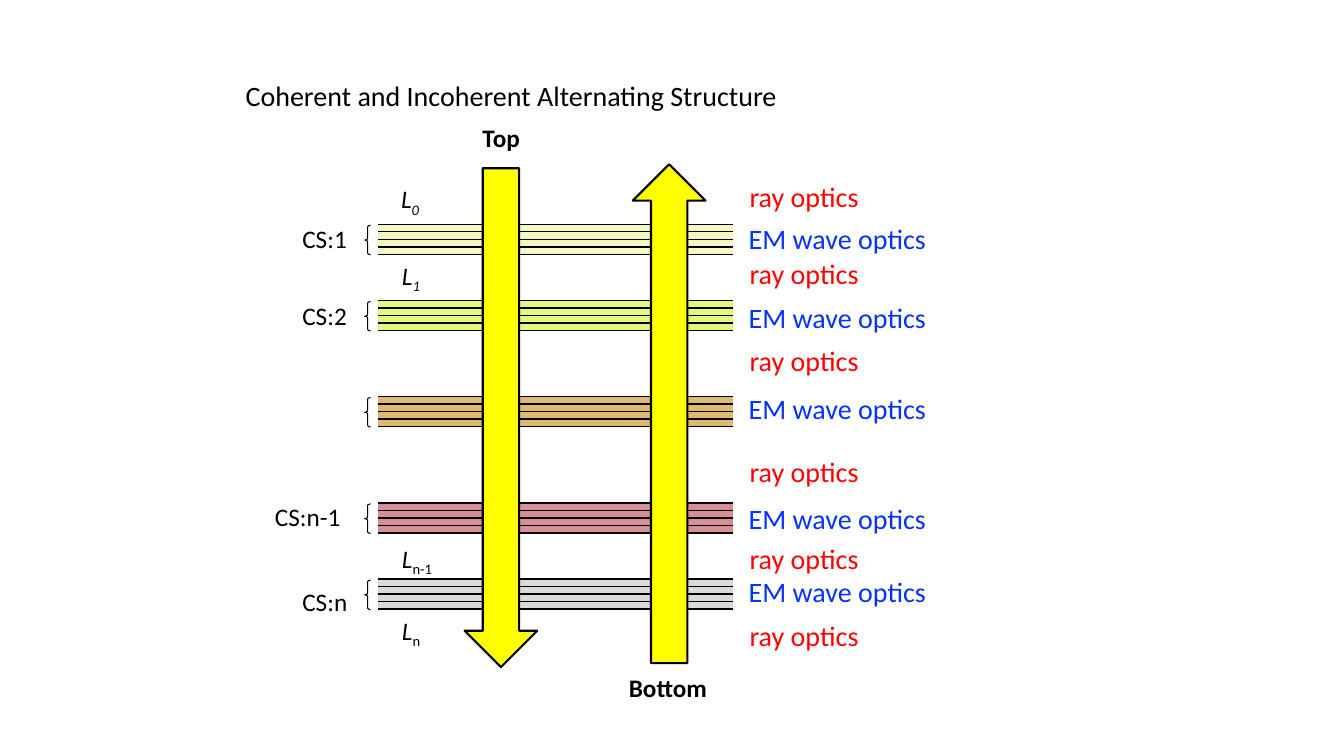
"""Draw light passing through alternating coherent and incoherent layers."""
from lxml import etree
from pptx import Presentation
from pptx.dml.color import RGBColor
from pptx.enum.shapes import MSO_CONNECTOR, MSO_SHAPE
from pptx.enum.text import MSO_AUTO_SIZE
from pptx.oxml.ns import qn
from pptx.util import Cm, Pt

RECT = MSO_SHAPE.RECTANGLE
BRACE = MSO_SHAPE.LEFT_BRACE
DOWN = MSO_SHAPE.DOWN_ARROW
UP = MSO_SHAPE.UP_ARROW
STRAIGHT = MSO_CONNECTOR.STRAIGHT
FIT = MSO_AUTO_SIZE.SHAPE_TO_FIT_TEXT

BLACK = RGBColor(0x00, 0x00, 0x00)
BLUE = RGBColor(0x04, 0x32, 0xFF)
RED = RGBColor(0xFF, 0x00, 0x00)
YELLOW = RGBColor(0xFF, 0xFF, 0x00)
CREAM = RGBColor(0xF4, 0xF7, 0xBE)
LIME = RGBColor(0xE5, 0xF7, 0x7D)
TAN = RGBColor(0xDE, 0xBA, 0x6F)
ROSE = RGBColor(0xD5, 0x8F, 0x96)
GRAY = RGBColor(0xD9, 0xD9, 0xD9)

LEFT, WIDTH, STEP, GAPS = 9.53, 8.94, 0.19, 4
STACKS = [(5.65, CREAM), (7.57, LIME), (9.99, TAN), (12.67, ROSE), (14.59, GRAY)]
NAMES = [("CS:1", 7.37, 5.51, 1.65), ("CS:2", 7.37, 7.44, 1.65),
         ("CS:n", 7.37, 14.66, 1.65), ("CS:n-1", 6.68, 12.52, 2.18)]
LAYERS = [("0", 9.86, 4.5, 0.99, True), ("1", 9.88, 6.43, 0.99, True),
          ("n-1", 9.88, 13.56, 1.35, False), ("n", 9.88, 15.37, 1.02, False)]
WAVES = [5.46, 7.44, 9.75, 12.5, 14.35]
RAYS = [4.39, 6.35, 8.53, 11.33, 13.51, 15.47]


class Board:
    def __init__(self, slide, font="Calibri"):
        self.shapes = slide.shapes
        self.font = font

    def shape(self, kind, x, y, w, h, fill=None, line=None):
        item = self.shapes.add_shape(kind, Cm(x), Cm(y), Cm(w), Cm(h))
        item.shadow.inherit = False
        if fill is None:
            item.fill.background()
        else:
            item.fill.solid()
            item.fill.fore_color.rgb = fill
        if line is None:
            item.line.fill.background()
        else:
            item.line.color.rgb = BLACK
            item.line.width = Pt(line)
        return item

    def line(self, x, y, w):
        item = self.shapes.add_connector(STRAIGHT, Cm(x), Cm(y), Cm(x + w), Cm(y))
        item.line.color.rgb = BLACK
        item.line.width = Pt(1)
        etree.SubElement(item._element.spPr, qn("a:effectLst"))

    def stack(self, y, fill):
        self.shape(RECT, LEFT, y, WIDTH, GAPS * STEP, fill)
        for row in range(GAPS + 1):
            self.line(LEFT, y + row * STEP, WIDTH)
        brace = self.shape(BRACE, 9.19, y + 0.03, 0.15, 0.74, line=0.75)
        brace.adjustments[0] = 0.29

    def text(self, words, x, y, w, h=1.02, size=18, color=BLACK, bold=False, wrap=False):
        frame = self.shapes.add_textbox(Cm(x), Cm(y), Cm(w), Cm(h)).text_frame
        frame.word_wrap = wrap
        frame.auto_size = FIT
        para = frame.paragraphs[0]
        self.run(para, words, size, color, bold)
        return para

    def run(self, para, words, size=18, color=BLACK, bold=False):
        run = para.add_run()
        run.text = words
        run.font.name = self.font
        run.font.size = Pt(size)
        run.font.color.rgb = color
        run.font.bold = bold
        return run

    def layer(self, sub, x, y, w, slant):
        para = self.text("L", x, y, w)
        para.runs[0].font.italic = True
        low = self.run(para, sub)
        low.font.italic = slant
        low._r.get_or_add_rPr().set("baseline", "-25000")


def main():
    deck = Presentation()
    deck.slide_width, deck.slide_height = Cm(33.87), Cm(19.05)
    board = Board(deck.slides.add_slide(deck.slide_layouts[6]))
    for y, fill in STACKS:
        board.stack(y, fill)
    for name in NAMES:
        board.text(*name)
    for layer in LAYERS:
        board.layer(*layer)
    board.text("Coherent and Incoherent Alternating Structure", 5.94, 1.85, 14.25, 1.12, 20)
    for y in WAVES:
        board.text("EM wave optics", 18.62, y, 6.4, 1.12, 20, BLUE, wrap=True)
    for y in RAYS:
        board.text("ray optics", 18.64, y, 4.19, 1.12, 20, RED, wrap=True)
    board.shape(DOWN, 11.71, 4.24, 1.83, 12.57, YELLOW, 1.5)
    board.shape(UP, 15.95, 4.14, 1.83, 12.57, YELLOW, 1.5)
    board.text("Top", 11.91, 2.97, 1.45, bold=True)
    board.text("Bottom", 15.6, 16.81, 2.51, bold=True)
    deck.save("out.pptx")


if __name__ == "__main__":
    main()
